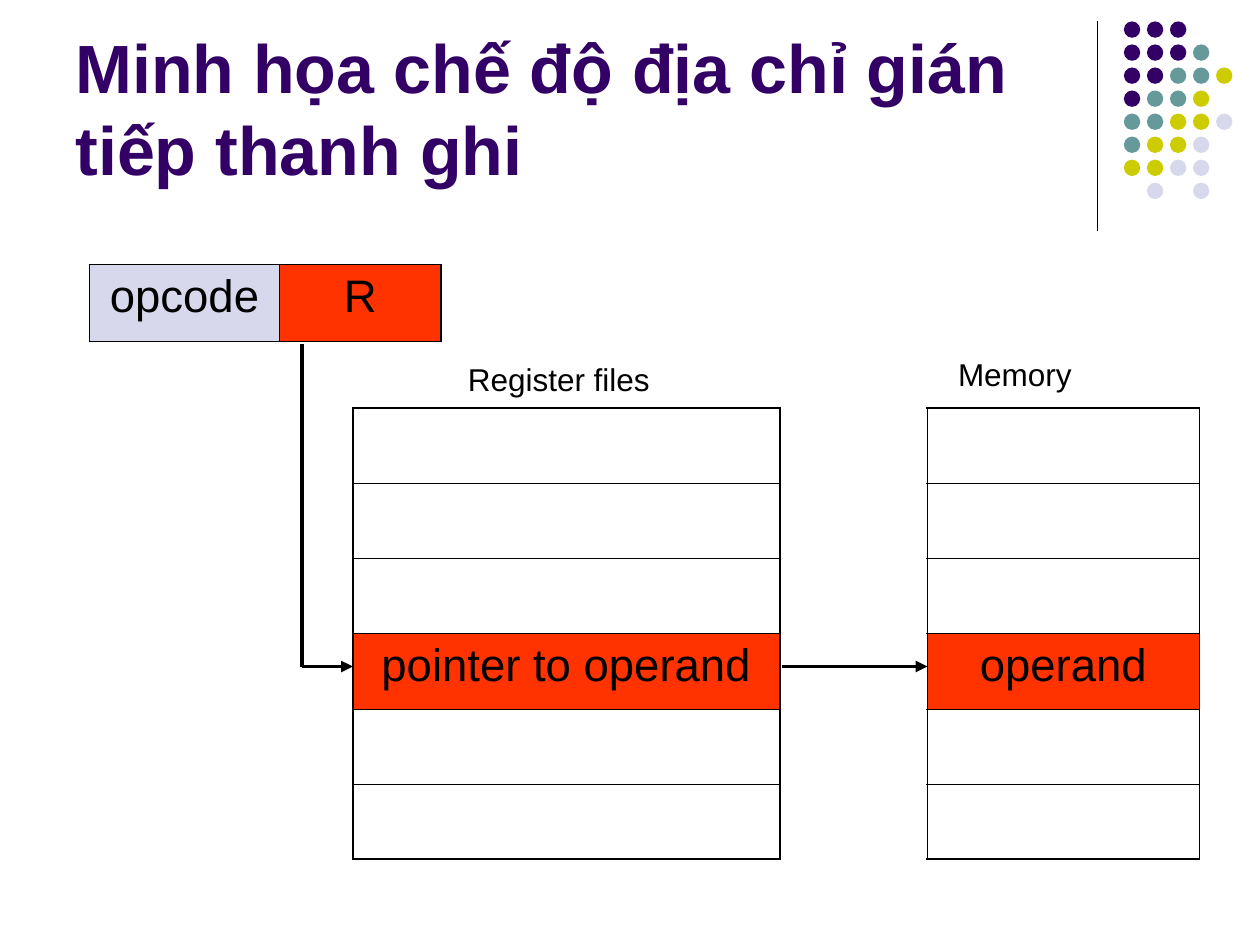
from dataclasses import dataclass

from lxml.etree import SubElement
from pptx import Presentation
from pptx.dml.color import RGBColor
from pptx.enum.shapes import MSO_CONNECTOR as Connector, MSO_SHAPE as Shape
from pptx.enum.text import MSO_ANCHOR as Anchor, PP_ALIGN as Align
from pptx.oxml.ns import qn
from pptx.util import Inches, Pt


@dataclass(frozen=True)
class Theme:
    font: str = "Arial"
    black: str = "000000"
    purple: str = "330066"
    teal: str = "669999"
    olive: str = "CCCC00"
    lavender: str = "D8D8EC"
    red: str = "FF3300"
    title_size: float = 39
    cell_size: float = 26
    label_size: float = 18
    rule: float = 0.75
    arrow: float = 2.25
    outer_border: float = 1.08
    inner_border: float = 0.45


class SlideBuilder:
    def __init__(self, slide, theme):
        self.shapes = slide.shapes
        self.theme = theme

    def fill_text(self, frame, text, size, color, bold=False, align=Align.CENTER):
        paragraph = frame.paragraphs[0]
        paragraph.alignment = align
        run = paragraph.add_run()
        run.text = text
        run.font.name = self.theme.font
        run.font.size = Pt(size)
        run.font.bold = bold
        run.font.color.rgb = RGBColor.from_string(color)

    def text(self, box, text, size, color, anchor=Anchor.TOP, **style):
        frame = self.shapes.add_textbox(*map(Inches, box)).text_frame
        frame.word_wrap = True
        frame.vertical_anchor = anchor
        self.fill_text(frame, text, size, color, **style)

    def dot(self, left, top, size, color):
        dot = self.shapes.add_shape(
            Shape.OVAL, Inches(left), Inches(top), Inches(size), Inches(size))
        dot.shadow.inherit = False
        dot.fill.solid()
        dot.fill.fore_color.rgb = RGBColor.from_string(color)
        dot.line.fill.background()

    def line(self, start, end, width, arrow=False):
        line = self.shapes.add_connector(
            Connector.STRAIGHT, *map(Inches, (*start, *end)))
        line.line.width = Pt(width)
        line.line.color.rgb = RGBColor.from_string(self.theme.black)
        properties = line._element.spPr
        if arrow:
            SubElement(properties.find(qn("a:ln")), qn("a:tailEnd"), type="triangle")
        SubElement(properties, qn("a:effectLst"))

    def border(self, cell, side, width):
        ln = SubElement(cell._tc.get_or_add_tcPr(), qn(f"a:ln{side}"), w=str(Pt(width)))
        fill = SubElement(ln, qn("a:solidFill"))
        SubElement(fill, qn("a:srgbClr"), val=self.theme.black)

    def table(self, left, top, widths, heights, filled):
        """Draw a grid; filled maps (row, column) to (text, fill color)."""
        rows, columns = len(heights), len(widths)
        table = self.shapes.add_table(
            rows, columns, Inches(left), Inches(top),
            Inches(sum(widths)), Inches(sum(heights))).table
        table.first_row = table.horz_banding = False
        for column, width in zip(table.columns, widths):
            column.width = Inches(width)
        for row, height in zip(table.rows, heights):
            row.height = Inches(height)
        for r in range(rows):
            for c in range(columns):
                cell = table.cell(r, c)
                on_edge = {"L": c == 0, "R": c == columns - 1,
                           "T": r == 0, "B": r == rows - 1}
                for side, outer in on_edge.items():
                    self.border(cell, side, self.theme.outer_border if outer
                                else self.theme.inner_border)
                if (r, c) in filled:
                    text, color = filled[r, c]
                    cell.fill.solid()
                    cell.fill.fore_color.rgb = RGBColor.from_string(color)
                    self.fill_text(cell.text_frame, text, self.theme.cell_size,
                                   self.theme.black)
                else:
                    cell.fill.background()


def main():
    theme = Theme()
    deck = Presentation()
    deck.slide_width, deck.slide_height = Inches(10), Inches(7.5)
    slide = SlideBuilder(deck.slides.add_slide(deck.slide_layouts[6]), theme)

    # Corner ornament: rule and dot pattern
    slide.line((8.71, 0.17), (8.71, 1.83), theme.rule)
    dot_colors = {"P": theme.purple, "T": theme.teal,
                  "O": theme.olive, "L": theme.lavender}
    dot_rows = ["PPP", "PPPT", "PPTTO", "PTTO", "TTOOL", "TOOL", "OOLL", " L L"]
    dot_pitch = 1.28 / 7
    for row, pattern in enumerate(dot_rows):
        for column, key in enumerate(pattern):
            if key in dot_colors:
                slide.dot(8.92 + column * dot_pitch, 0.17 + row * dot_pitch,
                          0.13, dot_colors[key])

    # Title
    slide.text((0.5, 0.13, 8.25, 1.42), "Minh họa chế độ địa chỉ gián tiếp thanh ghi",
               theme.title_size, theme.purple, anchor=Anchor.BOTTOM,
               bold=True, align=Align.LEFT)

    # Path from instruction to register to memory
    pointer_y, field_x, registers_x, memory_x = 5.29, 2.4, 2.8, 7.36
    slide.line((field_x, 2.73), (field_x, pointer_y), theme.arrow)
    slide.line((field_x, pointer_y), (registers_x, pointer_y), theme.arrow, arrow=True)
    slide.line((6.21, pointer_y), (memory_x, pointer_y), theme.arrow, arrow=True)

    # Instruction word
    slide.table(0.71, 2.1, [1.51, 1.28], [0.61],
                {(0, 0): ("opcode", theme.lavender), (0, 1): ("R", theme.red)})

    # Memory and register file, with the addressed row highlighted
    for left, width, content in [(memory_x, 2.16, "operand"),
                                 (registers_x, 3.39, "pointer to operand")]:
        slide.table(left, 3.24, [width], [3.58 / 6] * 6, {(3, 0): (content, theme.red)})

    # Labels
    for left, top, label in [(2.84, 2.81, "Register files"), (6.46, 2.77, "Memory")]:
        slide.text((left, top, 3.19, 0.4), label, theme.label_size, theme.black)

    deck.save("out.pptx")


if __name__ == "__main__":
    main()
